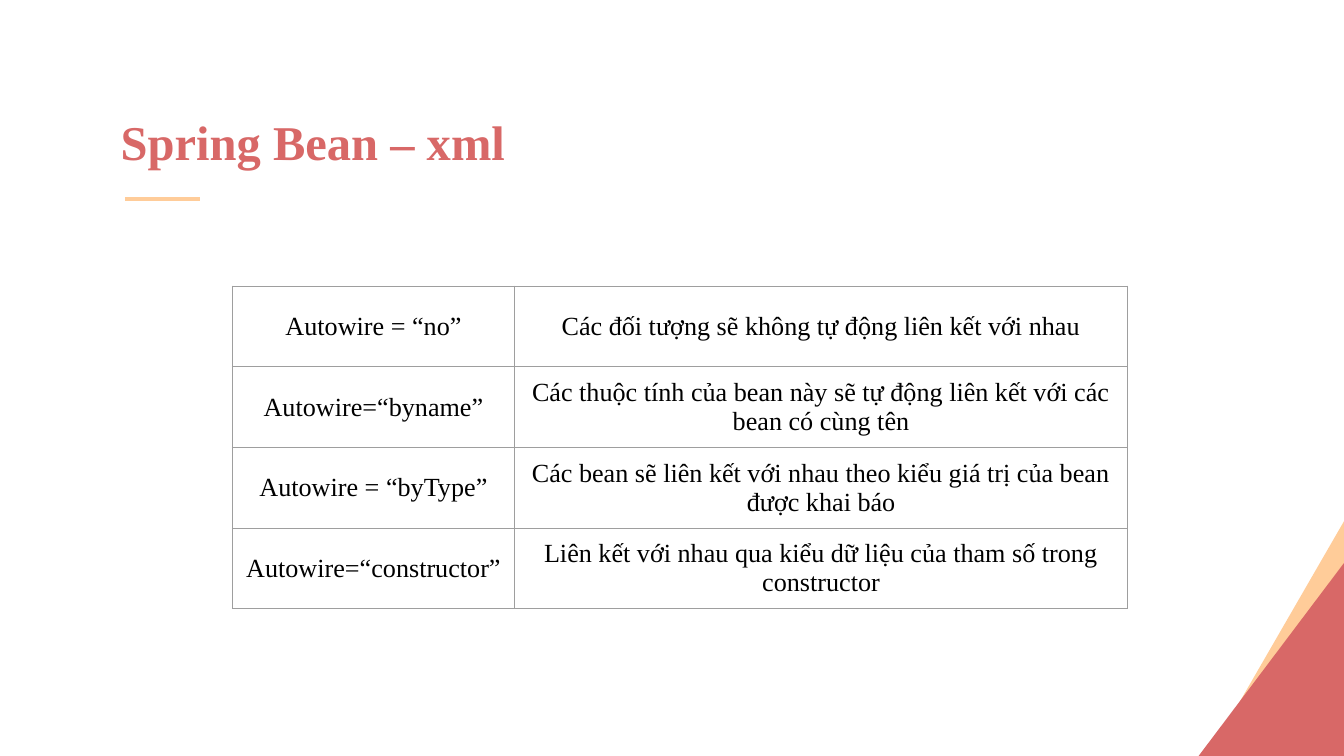
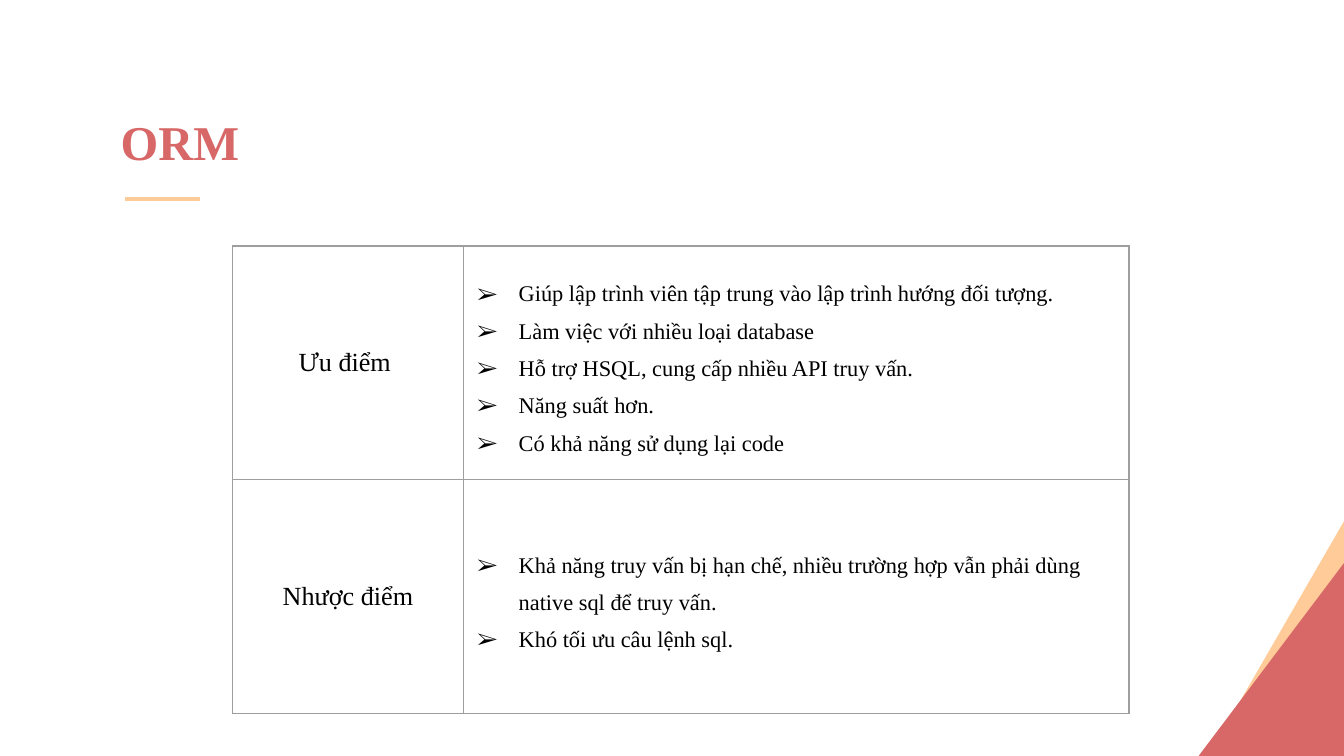
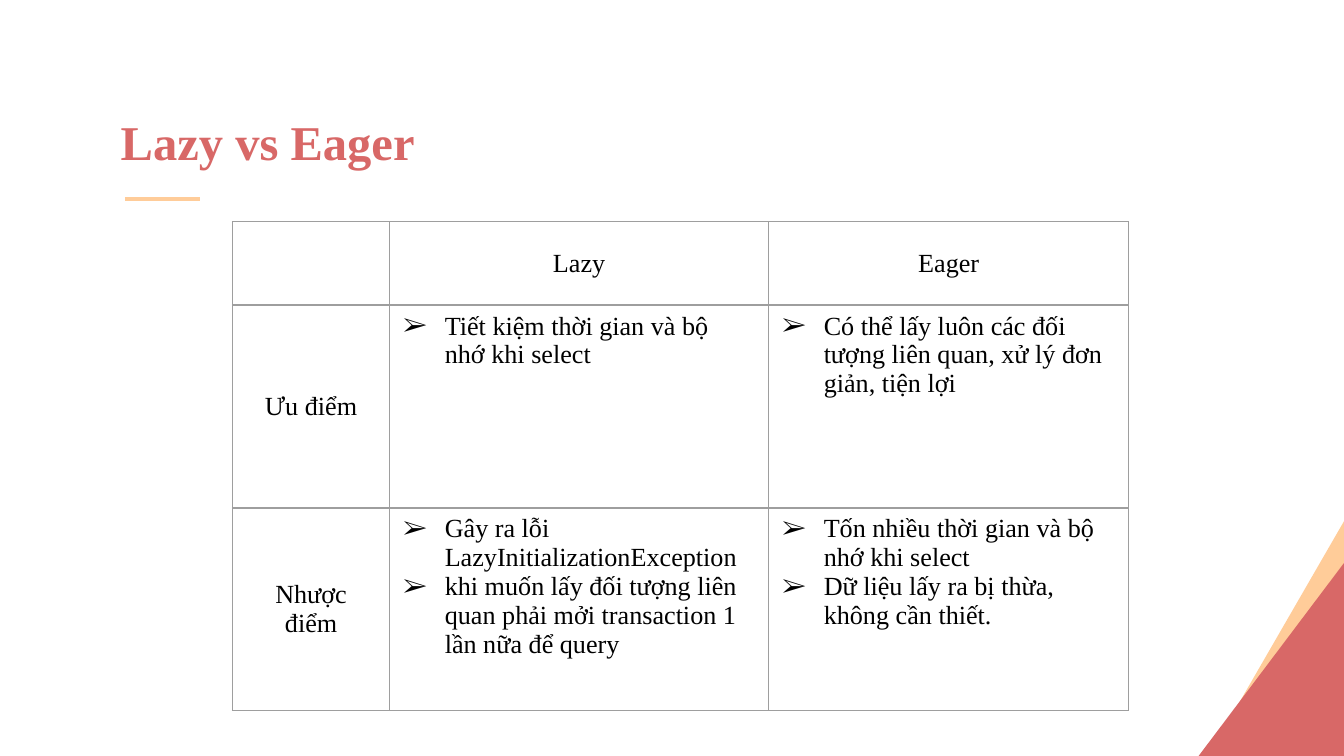
from lxml import etree
from pptx import Presentation
from pptx.dml.color import RGBColor
from pptx.enum import shapes, text
from pptx.oxml import parse_xml
from pptx.oxml.ns import nsdecls, qn
from pptx.util import Inches, Pt

RED = RGBColor(0xD8, 0x68, 0x67)
PEACH = RGBColor(0xFF, 0xCC, 0x99)
BLACK = RGBColor(0, 0, 0)
BORDER_HEX = "9E9E9E"
FONT = "Times New Roman"
TABLE_LEFT = 1.73
HANG = Inches(0.31)

CORNER_TRIANGLES = [
    (PEACH, [(8.96, 5.68), (10.05, 5.71), (10.04, 3.81)]),
    (RED, [(10.03, 4.15), (10.04, 5.66), (8.9, 5.65)]),
]

# A string is a centred cell, a list is a bulleted cell.
SLIDES = [
    dict(
        title="Spring Bean – xml", top=2.13, cols=[2.1, 4.56], rows=[0.6] * 4,
        cells=[
            ["Autowire = “no”", "Các đối tượng sẽ không tự động liên kết với nhau"],
            ["Autowire=“byname”",
             "Các thuộc tính của bean này sẽ tự động liên kết với các bean có cùng tên"],
            ["Autowire = “byType”",
             "Các bean sẽ liên kết với nhau theo kiểu giá trị của bean được khai báo"],
            ["Autowire=“constructor”",
             "Liên kết với nhau qua kiểu dữ liệu của tham số trong constructor"],
        ],
    ),
    dict(
        title="ORM", top=1.83, cols=[1.72, 4.95], rows=[1.74] * 2,
        bullet_size=12, bullet_spacing=1.5, bullet_anchor=text.MSO_ANCHOR.MIDDLE,
        cells=[
            ["Ưu điểm ",
             ["Giúp lập trình viên tập trung vào lập trình hướng đối tượng.",
              "Làm việc với nhiều loại database",
              "Hỗ trợ HSQL, cung cấp nhiều API truy vấn.",
              "Năng suất hơn.",
              "Có khả năng sử dụng lại code"]],
            ["Nhược điểm",
             ["Khả năng truy vấn bị hạn chế, nhiều trường hợp vẫn phải dùng "
              "native sql để truy vấn.",
              "Khó tối ưu câu lệnh sql."]],
        ],
    ),
    dict(
        title="Lazy vs Eager", top=1.65, cols=[1.17, 2.82, 2.68], rows=[0.62, 1.51, 1.51],
        bullet_size=14, bullet_spacing=1, bullet_anchor=text.MSO_ANCHOR.TOP,
        cells=[
            ["", "Lazy", "Eager"],
            ["Ưu điểm",
             ["Tiết kiệm thời gian và bộ nhớ khi select"],
             ["Có thể lấy luôn các đối tượng liên quan, xử lý đơn giản, tiện lợi"]],
            ["Nhược điểm",
             ["Gây ra lỗi LazyInitializationException",
              "khi muốn lấy đối tượng liên quan phải mởi transaction 1 lần nữa để query"],
             ["Tốn nhiều thời gian và bộ nhớ khi select",
              "Dữ liệu lấy ra bị thừa, không cần thiết."]],
        ],
    ),
]


def add_run(paragraph, words, size, color, bold=False):
    run = paragraph.add_run()
    run.text = words
    run.font.name = FONT
    run.font.size = Pt(size)
    run.font.bold = bold
    run.font.color.rgb = color


def add_bullet(paragraph):
    """Give the paragraph a hanging black arrow bullet."""
    props = paragraph._p.get_or_add_pPr()
    props.set("marL", str(HANG))
    props.set("indent", str(-HANG))
    color = etree.SubElement(props, qn("a:buClr"))
    etree.SubElement(color, qn("a:srgbClr"), val=str(BLACK))
    etree.SubElement(props, qn("a:buFont"), typeface=FONT)
    etree.SubElement(props, qn("a:buChar"), char="➢")


prs = Presentation()
prs.slide_width = Inches(10)
prs.slide_height = prs.slide_width * 9 // 16

for content in SLIDES:
    slide = prs.slides.add_slide(prs.slide_layouts[6])

    for color, points in CORNER_TRIANGLES:
        corners = [(Inches(x), Inches(y)) for x, y in points]
        outline = slide.shapes.build_freeform(*corners[0])
        outline.add_line_segments(corners[1:], close=True)
        triangle = outline.convert_to_shape()
        triangle.shadow.inherit = False
        triangle.fill.solid()
        triangle.fill.fore_color.rgb = color
        triangle.line.fill.background()

    underline = slide.shapes.add_connector(
        shapes.MSO_CONNECTOR.STRAIGHT, Inches(0.93), Inches(1.48), Inches(1.49), Inches(1.48))
    underline.line.color.rgb = PEACH
    underline.line.width = Pt(2.25)
    etree.SubElement(underline._element.spPr, qn("a:effectLst"))

    title = slide.shapes.add_textbox(
        Inches(0.8), Inches(0.8), Inches(8.53), Inches(0.57)).text_frame
    title.word_wrap = True
    title.vertical_anchor = text.MSO_ANCHOR.BOTTOM
    title.margin_left = title.margin_right = Inches(0.1)
    title.margin_top = title.margin_bottom = Inches(0.1)
    add_run(title.paragraphs[0], content["title"], 26, RED, bold=True)

    widths, heights = content["cols"], content["rows"]
    table = slide.shapes.add_table(
        len(heights), len(widths), Inches(TABLE_LEFT), Inches(content["top"]),
        Inches(sum(widths)), Inches(sum(heights))).table
    table.first_row = table.horz_banding = False
    for column, width in zip(table.columns, widths):
        column.width = Inches(width)
    for row, height, row_content in zip(table.rows, heights, content["cells"]):
        row.height = Inches(height)
        for cell, entry in zip(row.cells, row_content):
            for side in ("lnL", "lnR", "lnT", "lnB"):
                cell._tc.get_or_add_tcPr().append(parse_xml(
                    f'<a:{side} {nsdecls("a")} w="{Pt(0.75)}"><a:solidFill>'
                    f'<a:srgbClr val="{BORDER_HEX}"/></a:solidFill></a:{side}>'))
            cell.fill.background()

            paragraph = cell.text_frame.paragraphs[0]
            if isinstance(entry, list):
                cell.vertical_anchor = content["bullet_anchor"]
                for index, point in enumerate(entry):
                    if index:
                        paragraph = cell.text_frame.add_paragraph()
                    add_bullet(paragraph)
                    paragraph.line_spacing = content["bullet_spacing"]
                    add_run(paragraph, point, content["bullet_size"], BLACK)
            elif entry:
                cell.vertical_anchor = text.MSO_ANCHOR.MIDDLE
                paragraph.alignment = text.PP_ALIGN.CENTER
                add_run(paragraph, entry, 14, BLACK)

prs.save("out.pptx")
